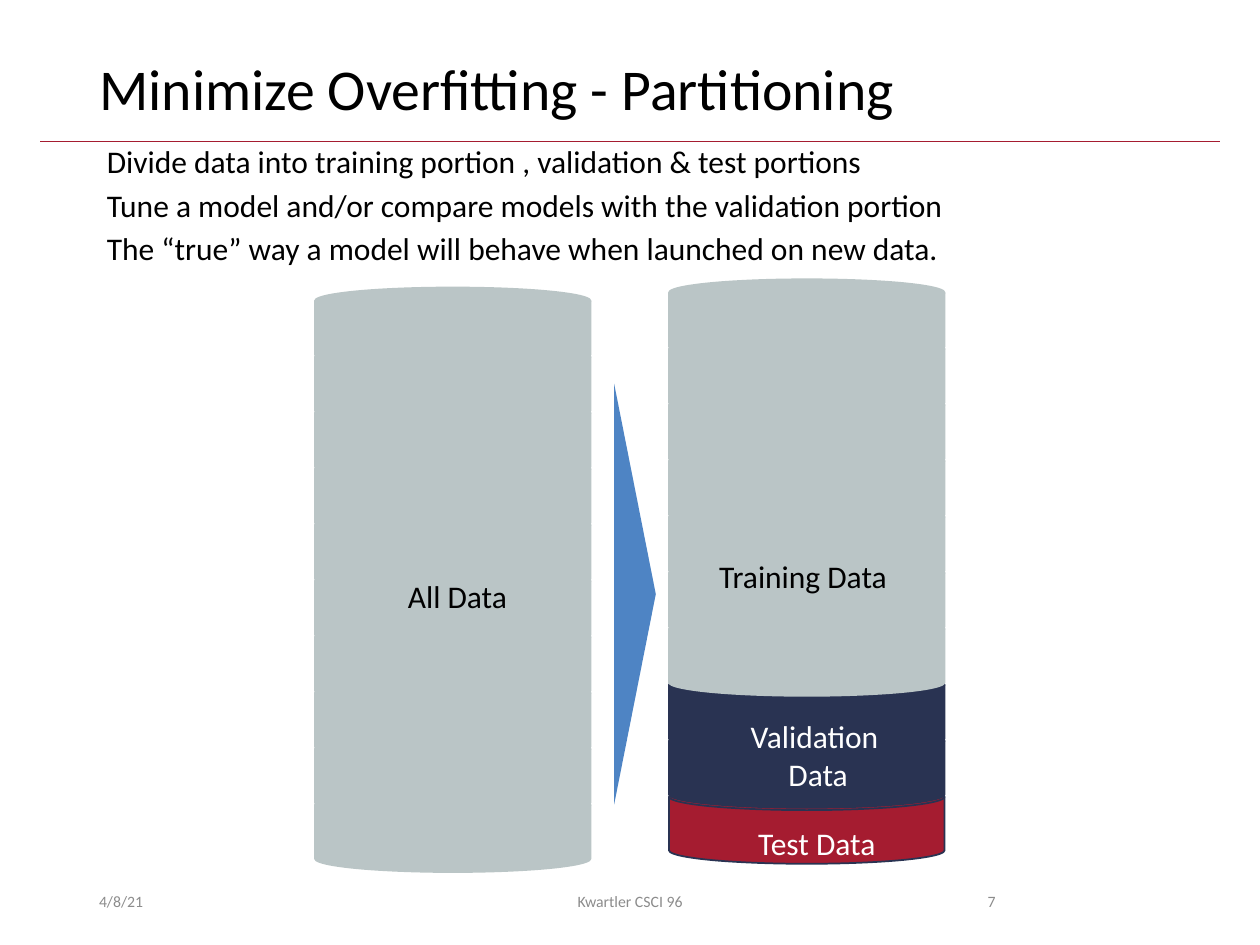
from pptx import Presentation
from pptx.dml.color import RGBColor
from pptx.enum.shapes import MSO_CONNECTOR, MSO_SHAPE
from pptx.enum.text import MSO_ANCHOR, PP_ALIGN
from pptx.util import Pt
from lxml import etree

DISK = MSO_SHAPE.FLOWCHART_MAGNETIC_DISK
TRIANGLE = MSO_SHAPE.ISOSCELES_TRIANGLE
STRAIGHT = MSO_CONNECTOR.STRAIGHT
TOP, MIDDLE = MSO_ANCHOR.TOP, MSO_ANCHOR.MIDDLE
LEFT, CENTER, RIGHT = PP_ALIGN.LEFT, PP_ALIGN.CENTER, PP_ALIGN.RIGHT

COLORS = {
    "black": "000000",
    "white": "FFFFFF",
    "footer": "8C8C8C",
    "data": "BAC5C6",
    "validation": "293352",
    "test": "A51C30",
    "rule": "A51C30",
    "arrow": "4E84C4",
}
DRAWING = "{http://schemas.openxmlformats.org/drawingml/2006/main}"
TITLE_ONLY = 5
DISK_WIDTH, DISK_HEIGHT, DISK_STEP = 157.5, 46, 32


class SlideBuilder:
    """Holds the text style and the current slide; lengths are in points."""

    font_name = "Calibri"

    def __init__(self, slide):
        self.slide = slide

    def color(self, name):
        return RGBColor.from_string(COLORS[name])

    def fill_text(self, box, lines, size, color="black", align=LEFT, anchor=TOP,
                  wrap=True, para_format=None, gap=0):
        frame = box.text_frame
        frame.word_wrap = wrap
        frame.vertical_anchor = anchor
        for index, line in enumerate(lines):
            para = frame.paragraphs[0] if index == 0 else frame.add_paragraph()
            para.alignment = align
            for name, value in (para_format or {}).items():
                setattr(para, name, value)
            if index and gap:
                para.space_before = Pt(gap)
            span = para.add_run()
            span.text = line
            for name, value in {"name": self.font_name, "size": Pt(size)}.items():
                setattr(span.font, name, value)
            span.font.color.rgb = self.color(color)

    def title(self, place, text, size):
        box = self.slide.shapes.title
        for name, value in zip(("left", "top", "width", "height"), place):
            setattr(box, name, Pt(value))
        self.fill_text(box, [text], size, anchor=MIDDLE,
                       para_format={"line_spacing": 0.9})

    def text(self, place, lines, size=18, **style):
        box = self.slide.shapes.add_textbox(*map(Pt, place))
        self.fill_text(box, lines, size, **style)

    def shape(self, kind, place, fill, line=None, rotation=0):
        shape = self.slide.shapes.add_shape(kind, *map(Pt, place))
        shape.shadow.inherit = False
        shape.rotation = rotation
        shape.fill.solid()
        shape.fill.fore_color.rgb = self.color(fill)
        if line:
            shape.line.color.rgb = self.color(line)
            shape.line.width = Pt(1)
        else:
            shape.line.fill.background()

    def rule(self, left, right, top, color, width):
        line = self.slide.shapes.add_connector(
            STRAIGHT, Pt(left), Pt(top), Pt(right), Pt(top))
        line.line.color.rgb = self.color(color)
        line.line.width = Pt(width)
        etree.SubElement(line._element.spPr, DRAWING + "effectLst")

    def stack(self, left, bottom_top, disks):
        """Pile up disks from the lowest one; each is a (fill, line) pair."""
        for level, (fill, line) in enumerate(disks):
            top = bottom_top - level * DISK_STEP
            self.shape(DISK, (left, top, DISK_WIDTH, DISK_HEIGHT), fill, line)


def main():
    deck = Presentation()
    deck.slide_width, deck.slide_height = Pt(720), Pt(540)
    page = SlideBuilder(deck.slides.add_slide(deck.slide_layouts[TITLE_ONLY]))

    # Heading and introduction
    page.rule(23, 697, 80.8, "rule", 0.5)
    page.title((49.5, 28.8, 621, 46.8), "Minimize Overfitting - Partitioning", 33)
    page.text((54, 82, 612, 78), [
        "Divide data into training portion , validation & test portions",
        "Tune a model and/or compare models with the validation portion",
        "The “true” way a model will behave when launched on new data.",
    ], para_format={"line_spacing": 0.8}, gap=7.5)

    # All data
    plain = ("data", "data")
    page.stack(180, 452.3, [plain] * 10)
    page.text((226, 326.2, 72, 28), ["All Data"], wrap=False)

    # Arrow from the whole to the partitions
    page.shape(TRIANGLE, (242.6, 327.6, 240.5, 23.8), "arrow", rotation=90)

    # Partitioned data
    page.stack(382.3, 447.6, [("test", "validation")]
               + [("validation", "validation")] * 2 + [plain] * 7)
    page.text((403.9, 314.6, 116, 28), ["Training Data"], wrap=False)
    page.text((426.2, 467.3, 82, 28), ["Test Data"], color="white", wrap=False)
    page.text((421.2, 406, 88.6, 51), ["Validation", " Data"],
              color="white", align=CENTER, wrap=False)

    # Footer
    for left, width, text, align in (
        (49.5, 162, "4/8/21", LEFT),
        (238.5, 243, "Kwartler CSCI 96", CENTER),
        (508.5, 67.5, "7", RIGHT),
    ):
        page.text((left, 500.5, width, 28.8), [text], size=9, color="footer",
                  align=align, anchor=MIDDLE)

    deck.save("out.pptx")


if __name__ == "__main__":
    main()
